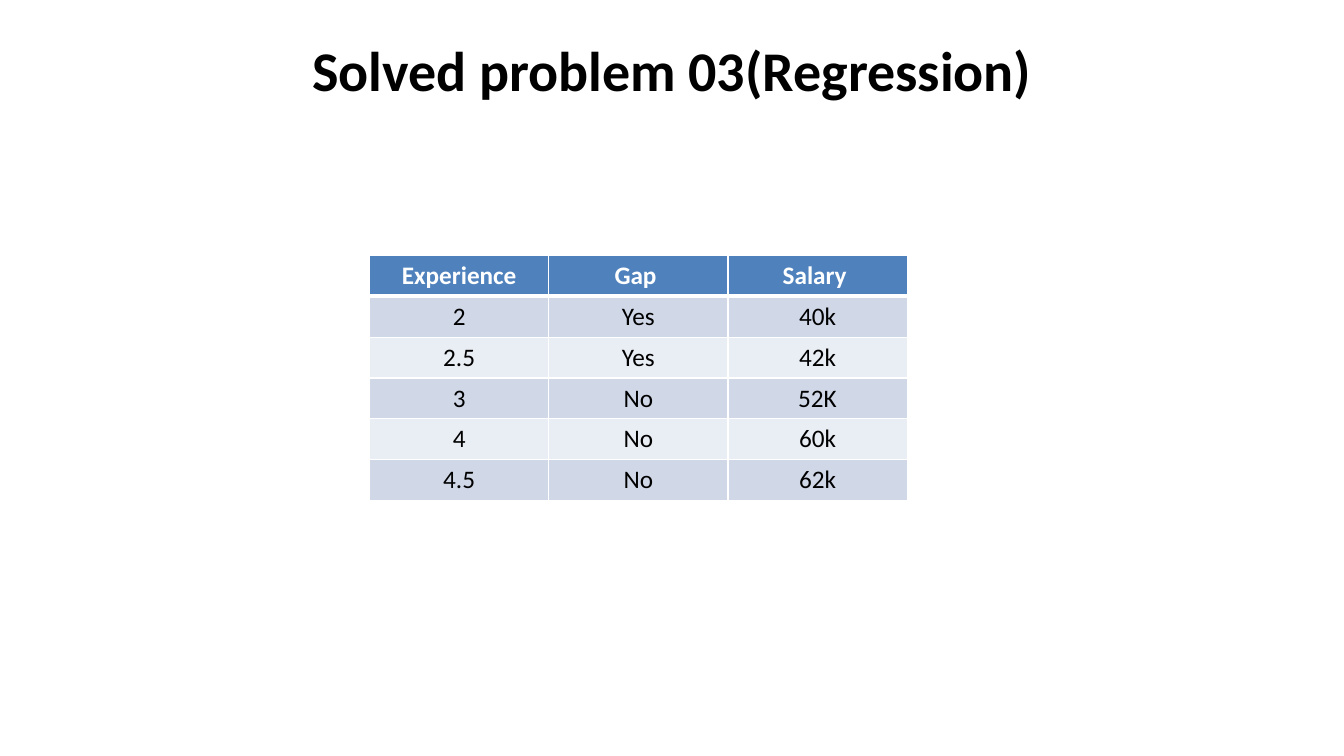
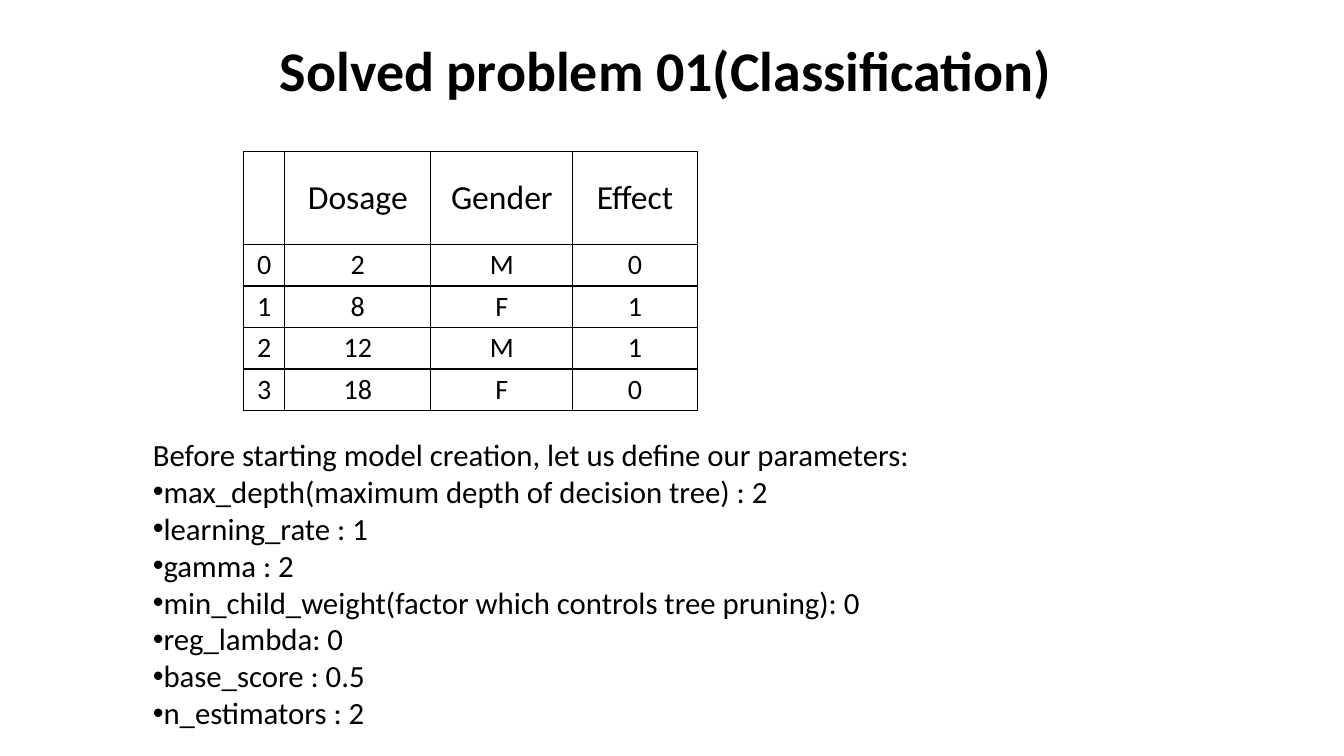
from dataclasses import dataclass

from lxml.etree import SubElement
from pptx import Presentation
from pptx.dml.color import RGBColor
from pptx.enum.text import MSO_ANCHOR, MSO_AUTO_SIZE, PP_ALIGN
from pptx.oxml import parse_xml
from pptx.oxml.ns import nsdecls, qn
from pptx.slide import Slide
from pptx.table import _Cell
from pptx.text.text import _Paragraph
from pptx.util import Emu, Inches, Pt

GRID_COLUMNS, GRID_ROWS = 160, 90
SLIDE_WIDTH, SLIDE_HEIGHT = Inches(13.33), Inches(7.5)


@dataclass(frozen=True)
class Theme:
    font: str = "Calibri"
    ink: str = "000000"
    paper: str = "FFFFFF"
    header: str = "4F81BD"
    bands: tuple[str, str] = ("D0D8E8", "E9EDF4")
    title_size: int = 40
    list_size: int = 22
    banded_size: int = 18
    ruled_header_size: int = 24
    ruled_size: int = 20


@dataclass(frozen=True)
class Box:
    left: float
    top: float
    width: float
    height: float


@dataclass(frozen=True)
class TextStyle:
    size: int
    color: str
    bold: bool = False
    align: PP_ALIGN = PP_ALIGN.CENTER


@dataclass(frozen=True)
class TableStyle:
    header: TextStyle
    body: TextStyle
    border: str
    header_rule: float
    header_fill: str | None
    band_fills: tuple[str | None, ...]
    anchor: MSO_ANCHOR
    margins: tuple[float, float]


@dataclass(frozen=True)
class TableSpec:
    left: float
    top: float
    columns: tuple[float, ...]
    header_height: float
    row_height: float
    rows: tuple[tuple[str, ...], ...]
    style: TableStyle


THEME = Theme()
TITLE_BOX = Box(8, 3.6, 144, 15)
LIST_BOX = Box(17, 51.24, 120, 36.72)
TITLE_STYLE = TextStyle(THEME.title_size, THEME.ink, bold=True)
LIST_STYLE = TextStyle(THEME.list_size, THEME.ink, align=PP_ALIGN.LEFT)

BANDED = TableStyle(
    header=TextStyle(THEME.banded_size, THEME.paper, bold=True),
    body=TextStyle(THEME.banded_size, THEME.ink),
    border=THEME.paper,
    header_rule=3,
    header_fill=THEME.header,
    band_fills=THEME.bands,
    anchor=MSO_ANCHOR.TOP,
    margins=(0.1, 0.05),
)
RULED = TableStyle(
    header=TextStyle(THEME.ruled_header_size, THEME.ink),
    body=TextStyle(THEME.ruled_size, THEME.ink),
    border=THEME.ink,
    header_rule=1,
    header_fill=None,
    band_fills=(None,),
    anchor=MSO_ANCHOR.MIDDLE,
    margins=(0.07, 0.03),
)

SALARIES = TableSpec(
    left=44,
    top=30.4,
    columns=(64 / 3,) * 3,
    header_height=4.87,
    row_height=4.87,
    rows=(
        ("Experience", "Gap ", "Salary "),
        ("2", "Yes", "40k"),
        ("2.5", "Yes", "42k"),
        ("3", "No", "52K"),
        ("4", "No", "60k"),
        ("4.5", "No", "62k"),
    ),
    style=BANDED,
)
DOSAGES = TableSpec(
    left=29,
    top=18,
    columns=(4.9, 17.4, 16.9, 14.8),
    header_height=11.1,
    row_height=4.95,
    rows=(
        ("", "Dosage", "Gender", "Effect"),
        ("0", "2", "M", "0"),
        ("1", "8", "F", "1"),
        ("2", "12", "M", "1"),
        ("3", "18", "F", "0"),
    ),
    style=RULED,
)
INTRODUCTION = "Before starting model creation, let us define our parameters:"
PARAMETERS = (
    "max_depth(maximum depth of decision tree) : 2",
    "learning_rate : 1",
    "gamma : 2",
    "min_child_weight(factor which controls tree pruning): 0",
    "reg_lambda: 0",
    "base_score : 0.5",
    "n_estimators : 2",
)


def across(columns: float) -> Emu:
    return Emu(round(SLIDE_WIDTH * columns / GRID_COLUMNS))


def down(rows: float) -> Emu:
    return Emu(round(SLIDE_HEIGHT * rows / GRID_ROWS))


def format_paragraph(paragraph: _Paragraph, style: TextStyle) -> None:
    paragraph.alignment = style.align
    paragraph.font.name = THEME.font
    paragraph.font.size = Pt(style.size)
    paragraph.font.bold = style.bold
    paragraph.font.color.rgb = RGBColor.from_string(style.color)


def place(placeholder, box: Box) -> None:
    placeholder.left, placeholder.top = across(box.left), down(box.top)
    placeholder.width, placeholder.height = across(box.width), down(box.height)
    frame = placeholder.text_frame
    frame.word_wrap = True
    frame.auto_size = MSO_AUTO_SIZE.NONE
    frame.vertical_anchor = MSO_ANCHOR.TOP


def add_titled_slide(deck, layout_name: str, title: str) -> Slide:
    page = deck.slides.add_slide(deck.slide_layouts.get_by_name(layout_name))
    heading = page.shapes.title
    place(heading, TITLE_BOX)
    heading.text_frame.text = title
    format_paragraph(heading.text_frame.paragraphs[0], TITLE_STYLE)
    return page


def set_borders(cell: _Cell, color: str, top: float, bottom: float) -> None:
    properties = cell._tc.get_or_add_tcPr()
    widths = {"lnL": 1, "lnR": 1, "lnT": top, "lnB": bottom}
    for position, (side, width) in enumerate(widths.items()):
        line = parse_xml(
            f'<a:{side} {nsdecls("a")} w="{Pt(width)}"><a:solidFill>'
            f'<a:srgbClr val="{color}"/></a:solidFill></a:{side}>'
        )
        properties.insert(position, line)


def draw_cell(cell: _Cell, text: str, row: int, style: TableStyle) -> None:
    is_header = row == 0
    fill = style.header_fill if is_header else style.band_fills[(row - 1) % len(style.band_fills)]
    if fill:
        cell.fill.solid()
        cell.fill.fore_color.rgb = RGBColor.from_string(fill)
    else:
        cell.fill.background()
    cell.text = text
    cell.vertical_anchor = style.anchor
    side, edge = style.margins
    cell.margin_left = cell.margin_right = Inches(side)
    cell.margin_top = cell.margin_bottom = Inches(edge)
    format_paragraph(cell.text_frame.paragraphs[0], style.header if is_header else style.body)
    set_borders(
        cell,
        style.border,
        top=style.header_rule if row == 1 else 1,
        bottom=style.header_rule if is_header else 1,
    )


def draw_table(page: Slide, spec: TableSpec) -> None:
    heights = [spec.header_height] + [spec.row_height] * (len(spec.rows) - 1)
    table = page.shapes.add_table(
        len(spec.rows),
        len(spec.columns),
        across(spec.left),
        down(spec.top),
        across(sum(spec.columns)),
        down(sum(heights)),
    ).table
    table.first_row = table.horz_banding = False
    for column, width in zip(table.columns, spec.columns):
        column.width = across(width)
    for row, height in zip(table.rows, heights):
        row.height = down(height)
    for row_index, values in enumerate(spec.rows):
        for column_index, value in enumerate(values):
            draw_cell(table.cell(row_index, column_index), value, row_index, spec.style)


def set_bullet(paragraph: _Paragraph, bullet: str | None) -> None:
    properties = paragraph._p.get_or_add_pPr()
    properties.set("marL", "0")
    properties.set("indent", "0")
    if bullet:
        SubElement(properties, qn("a:buChar")).set("char", bullet)
    else:
        SubElement(properties, qn("a:buNone"))


def fill_list(page: Slide, introduction: str, items: tuple[str, ...]) -> None:
    body = page.placeholders[1]
    place(body, LIST_BOX)
    frame = body.text_frame
    frame.text = "\n".join((introduction, *items))
    for index, paragraph in enumerate(frame.paragraphs):
        set_bullet(paragraph, "•" if index else None)
        paragraph.space_before = Pt(0)
        format_paragraph(paragraph, LIST_STYLE)


def main() -> None:
    deck = Presentation()
    deck.slide_width, deck.slide_height = SLIDE_WIDTH, SLIDE_HEIGHT

    regression = add_titled_slide(deck, "Title Only", "Solved problem 03(Regression)")
    draw_table(regression, SALARIES)

    classification = add_titled_slide(
        deck, "Title and Content", "Solved problem 01(Classification) "
    )
    draw_table(classification, DOSAGES)
    fill_list(classification, INTRODUCTION, PARAMETERS)

    deck.save("out.pptx")


if __name__ == "__main__":
    main()
